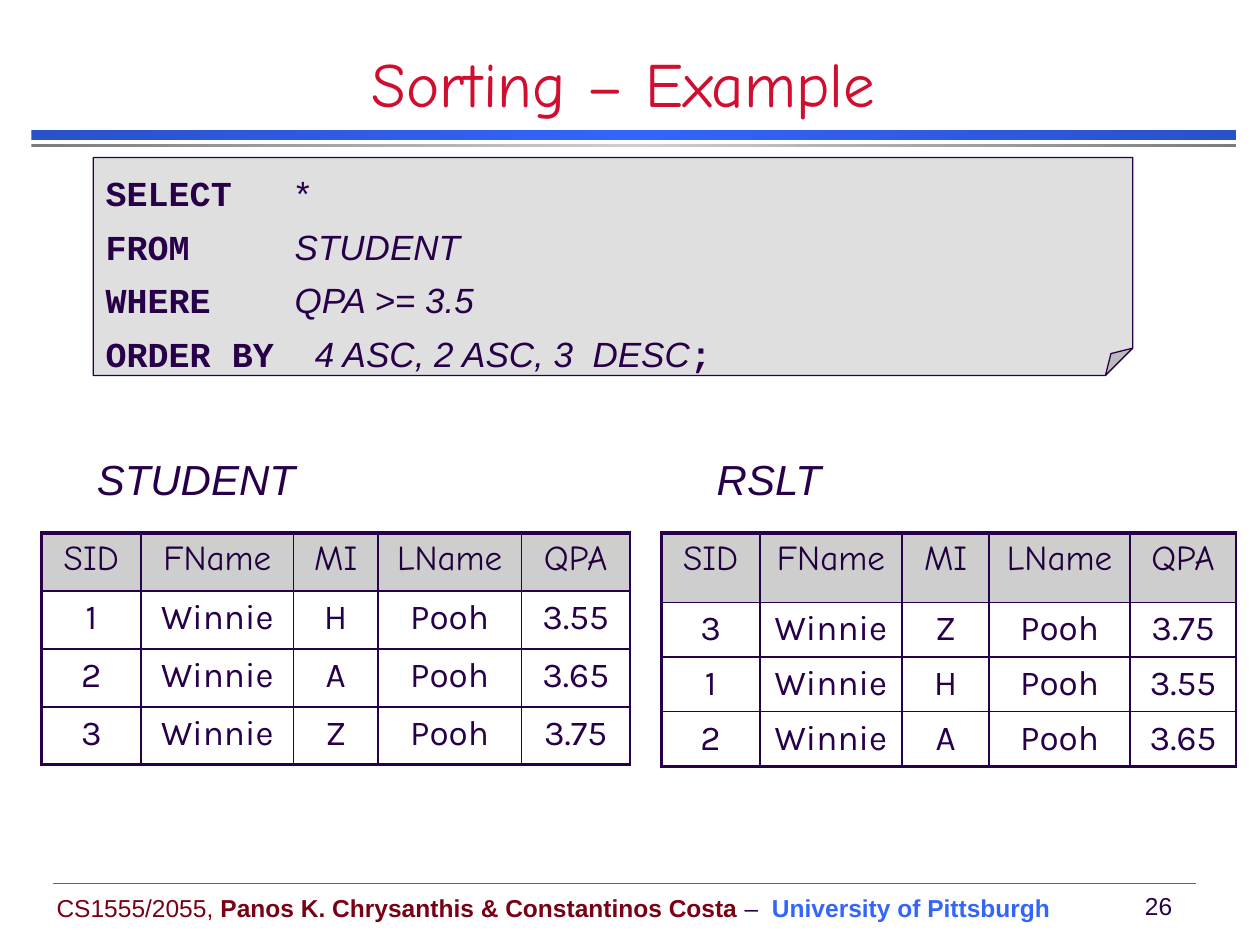
from copy import deepcopy
from dataclasses import dataclass

from pptx import Presentation
from pptx.dml.color import RGBColor
from pptx.enum.shapes import MSO_CONNECTOR as Connector, MSO_SHAPE as Shape
from pptx.enum.text import MSO_ANCHOR as Anchor, PP_ALIGN as Align
from pptx.oxml.ns import qn
from pptx.util import Inches, Pt
from lxml.etree import SubElement


@dataclass(frozen=True)
class Theme:
    ink: str = "280049"
    header_ink: str = "21003D"
    title: str = "CF0E30"
    course: str = "790015"
    school: str = "3365FB"
    blue_edge: str = "2951C9"
    grey_edge: str = "7C7C7C"
    grey: str = "CECECE"
    note: str = "C0C0C0"
    rule: str = "009688"
    sans: str = "Arial"
    mono: str = "Courier New"
    hand: str = "Comic Neue"
    body: str = "Karla"
    title_size: int = 36
    label_size: int = 24
    text_size: int = 20
    footer_size: int = 14
    thin: float = 1
    thick: float = 2.25


THEME = Theme()


@dataclass(frozen=True)
class Clause:
    keyword: str
    operand: str
    tab: float = 1.5
    ending: str = ""


@dataclass(frozen=True)
class Relation:
    name: str
    left: float
    widths: tuple[float, ...]
    heights: tuple[float, ...]
    rows: tuple[tuple[str, ...], ...]


FIELDS = ("SID", "FName", "MI", "LName", "QPA")
FIRST = ("1", "Winnie", "H", "Pooh", "3.55")
SECOND = ("2", "Winnie", "A", "Pooh", "3.65")
THIRD = ("3", "Winnie", "Z", "Pooh", "3.75")

RELATIONS = (
    Relation("STUDENT", 0.33, (0.79, 1.21, 0.67, 1.14, 0.86),
             (0.46,) * 4, (FIELDS, FIRST, SECOND, THIRD)),
    Relation("RSLT", 5.25, (0.78, 1.13, 0.69, 1.12, 0.84),
             (0.55,) + (0.43,) * 3, (FIELDS, THIRD, FIRST, SECOND)),
)

QUERY = (
    Clause("SELECT", "*"),
    Clause("FROM", "STUDENT"),
    Clause("WHERE", "QPA >= 3.5"),
    Clause("ORDER BY", "4 ASC, 2 ASC, 3  DESC", tab=1.66, ending=";"),
)


def add_span(para, text: str, *, size: float, font: str = THEME.sans,
             color: str = THEME.ink, bold: bool = False, italic: bool = False) -> None:
    span = para.add_run()
    span.text = text
    span.font.size = Pt(size)
    span.font.name = font
    span.font.bold = bold
    span.font.italic = italic
    span.font.color.rgb = RGBColor.from_string(color)


def add_box(page, left: float, top: float, width: float, height: float, *,
            anchor=Anchor.TOP, align=Align.LEFT, wrap: bool = True):
    """Add a text box and return its first paragraph."""
    frame = page.shapes.add_textbox(
        Inches(left), Inches(top), Inches(width), Inches(height)).text_frame
    frame.word_wrap = wrap
    frame.vertical_anchor = anchor
    para = frame.paragraphs[0]
    para.alignment = align
    return para


def add_band(page, top: float, height: float, edge: str, middle: str) -> None:
    """Add a full-width bar that shades from edge to middle and back."""
    band = page.shapes.add_shape(
        Shape.RECTANGLE, Inches(0.25), Inches(top), Inches(9.56), Inches(height))
    band.shadow.inherit = False
    band.line.fill.background()
    band.fill.gradient()
    band.fill.gradient_angle = 0
    for stop, color, position in zip(band.fill.gradient_stops, (edge, middle), (0, 0.5)):
        stop.color.rgb = RGBColor.from_string(color)
        stop.position = position
    stops = band.element.spPr.find(qn("a:gradFill")).find(qn("a:gsLst"))
    last = deepcopy(stops[0])
    last.set("pos", "100000")
    stops.append(last)


def add_query(page) -> None:
    note = page.shapes.add_shape(
        Shape.FOLDED_CORNER, Inches(0.74), Inches(1.25), Inches(8.25), Inches(1.73))
    geometry = note.element.spPr.find(qn("a:prstGeom"))
    fold = SubElement(geometry.get_or_add_avLst(), qn("a:gd"))
    fold.set("name", "adj")
    fold.set("fmla", "val 12500")
    note.shadow.inherit = False
    note.fill.solid()
    note.fill.fore_color.rgb = RGBColor.from_string(THEME.note)
    color = note.element.spPr.find(qn("a:solidFill"))[0]
    SubElement(color, qn("a:alpha")).set("val", "50000")
    note.line.color.rgb = RGBColor.from_string(THEME.ink)
    note.line.width = Pt(0.75)

    frame = note.text_frame
    frame.word_wrap = True
    frame.vertical_anchor = Anchor.TOP
    frame.margin_top = Inches(0.15)
    frame.margin_bottom = 0
    size = THEME.text_size
    for index, clause in enumerate(QUERY):
        para = frame.add_paragraph() if index else frame.paragraphs[0]
        tabs = SubElement(para._p.get_or_add_pPr(), qn("a:tabLst"))
        tab = SubElement(tabs, qn("a:tab"))
        tab.set("pos", str(Inches(clause.tab)))
        tab.set("algn", "l")
        para.alignment = Align.LEFT
        para.line_spacing = 0.9
        if index:
            para.space_before = Pt(9)
        add_span(para, clause.keyword + "\t", size=size, font=THEME.mono, bold=True)
        add_span(para, clause.operand, size=size, italic=True)
        if clause.ending:
            add_span(para, clause.ending, size=size, font=THEME.mono, bold=True)


def set_borders(cell, widths: dict[str, float]) -> None:
    properties = cell._tc.get_or_add_tcPr()
    for index, (side, width) in enumerate(widths.items()):
        line = SubElement(properties, qn(f"a:ln{side}"))
        line.set("w", str(Pt(width)))
        fill = SubElement(line, qn("a:solidFill"))
        SubElement(fill, qn("a:srgbClr")).set("val", THEME.ink)
        properties.insert(index, line)


def add_relation(page, relation: Relation) -> None:
    """Add a relation's table with its name above."""
    label = add_box(page, relation.left + 0.34, 3.55, 2, 0.5)
    add_span(label, relation.name, size=THEME.label_size, italic=True)
    table = page.shapes.add_table(
        len(relation.rows), len(FIELDS), Inches(relation.left), Inches(4.23),
        Inches(sum(relation.widths)), Inches(sum(relation.heights))).table
    for column, width in zip(table.columns, relation.widths):
        column.width = Inches(width)
    last = len(relation.rows) - 1
    for r, (values, height) in enumerate(zip(relation.rows, relation.heights)):
        table.rows[r].height = Inches(height)
        for c, value in enumerate(values):
            cell = table.cell(r, c)
            para = cell.text_frame.paragraphs[0]
            para.alignment = Align.CENTER
            if r == 0:
                cell.fill.solid()
                cell.fill.fore_color.rgb = RGBColor.from_string(THEME.grey)
                add_span(para, value, size=THEME.text_size, font=THEME.hand,
                         color=THEME.header_ink)
            else:
                cell.fill.background()
                add_span(para, value, size=THEME.text_size, font=THEME.body)
            set_borders(cell, {"L": THEME.thin if c else THEME.thick, "R": THEME.thin,
                               "T": THEME.thin if r else THEME.thick,
                               "B": THEME.thick if r == last else THEME.thin})


def add_footer(page) -> None:
    rule = page.shapes.add_connector(
        Connector.STRAIGHT, Inches(0.42), Inches(7.01), Inches(9.49), Inches(7.01))
    rule.line.color.rgb = RGBColor.from_string(THEME.rule)
    rule.line.width = Pt(0.25)
    SubElement(rule._element.spPr, qn("a:effectLst"))

    size = THEME.footer_size
    credit = add_box(page, 0.35, 7.04, 8.11, 0.33, anchor=Anchor.MIDDLE)
    add_span(credit, "CS1555/2055, ", size=size, color=THEME.course)
    add_span(credit, "Panos K. Chrysanthis & Constantinos Costa", size=size,
             color=THEME.course, bold=True)
    add_span(credit, " –  ", size=size)
    add_span(credit, "University of Pittsburgh", size=size, color=THEME.school, bold=True)
    number = add_box(page, 8.95, 7.02, 0.49, 0.33, anchor=Anchor.MIDDLE,
                     align=Align.CENTER, wrap=False)
    add_span(number, "26", size=size)


def main() -> None:
    deck = Presentation()
    deck.slide_width, deck.slide_height = Inches(10), Inches(7.5)
    page = deck.slides.add_slide(deck.slide_layouts[6])
    add_band(page, 1.03, 0.08, THEME.blue_edge, THEME.school)
    add_band(page, 1.14, 0.03, THEME.grey_edge, THEME.grey)
    add_footer(page)
    title = add_box(page, 0, 0.42, 9.9, 0.58, anchor=Anchor.BOTTOM, align=Align.CENTER)
    add_span(title, "Sorting – Example", size=THEME.title_size, font=THEME.hand,
             color=THEME.title)
    add_query(page)
    for relation in RELATIONS:
        add_relation(page, relation)
    deck.save("out.pptx")


if __name__ == "__main__":
    main()
